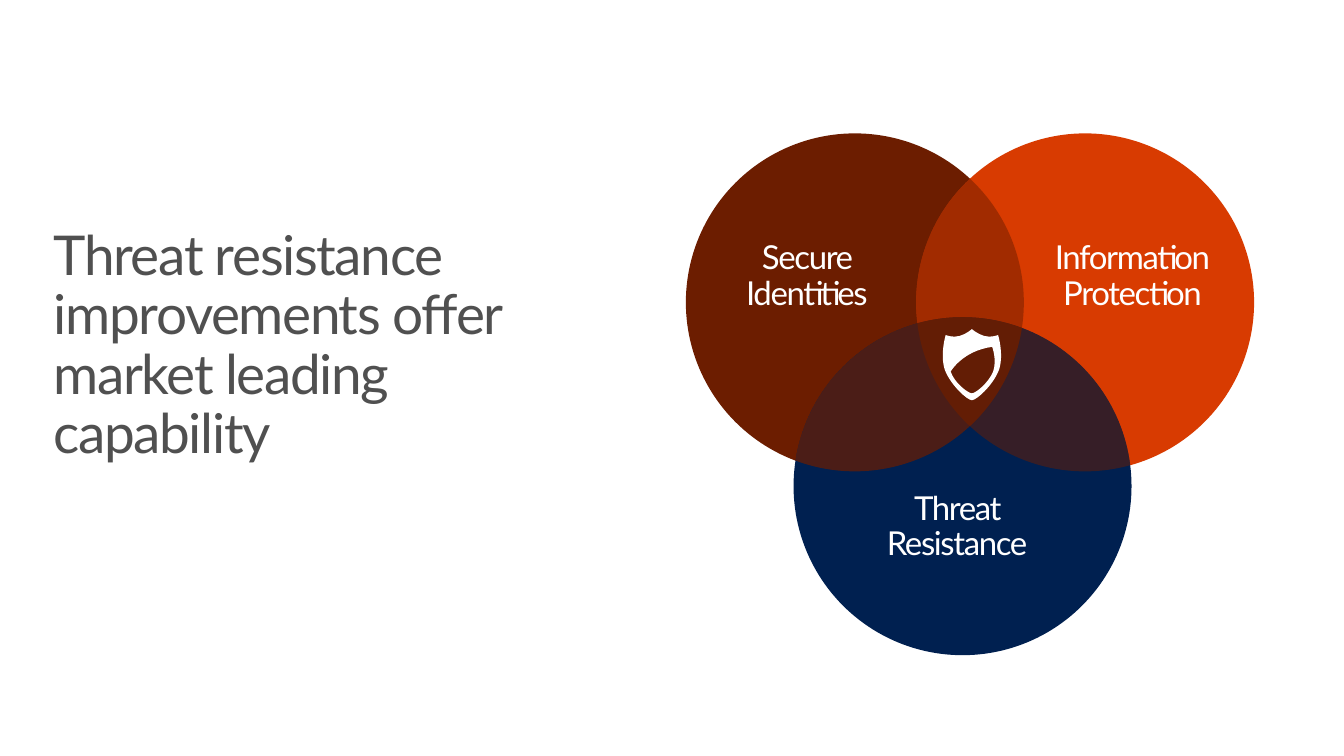
from itertools import combinations
from math import acos, atan2, cos, dist, pi, sin, tan

from lxml.etree import SubElement
from pptx import Presentation
from pptx.dml.color import RGBColor
from pptx.enum.shapes import MSO_SHAPE as Preset
from pptx.enum.text import MSO_AUTO_SIZE as AutoSize, PP_ALIGN as Align
from pptx.oxml.ns import qn
from pptx.util import Inches, Pt

CELL = Inches(0.1)
COLUMNS, ROWS = 136, 76.5
RADIUS = 17.1
BROWN, ORANGE, NAVY, WHITE, GRAY = "6C1D00", "D83B01", "002050", "FFFFFF", "505050"
CIRCLES = [((86.5, 30.6), BROWN), ((109.8, 30.6), ORANGE), ((97.4, 49.2), NAVY)]
OVERLAP_OPACITIES = [50, 70, 50]
LABELS = [
    (["Information", "Protection"], (103.6, 24.4, 22, 7.3), 0),
    (["Secure Identities"], (72.5, 24.4, 18.3, 7.3), 6),
    (["Threat Resistance"], (86.5, 49.75, 20.7, 7.3), 6),
]
SHIELD_AXIS = 98.35
SHIELD_RIGHT_HALF = [
    (98.35, 33.3),
    (98.35, 33.3), (98.9, 33.8), (99.6, 34),
    (100.3, 34.2), (101, 33.9), (101, 33.9),
    (101, 33.9), (101.6, 35.8), (101.1, 37.4),
    (100.5, 39), (98.8, 40.5), (98.35, 40.5),
]
SHIELD_CUTOUT = [
    (100.5, 37.6),
    (100, 38.8), (98.7, 39.8), (98.35, 39.8),
    (98, 39.8), (96.6, 38.8), (96.2, 37.6),
    (96.2, 37.6), (97.4, 35.5), (100.4, 35.1),
    (100.4, 35.1), (100.9, 36.4), (100.5, 37.6),
]


def color(value):
    """Turn a hex string into a colour."""
    return RGBColor.from_string(value)


def cells(*values):
    """Turn grid counts into slide lengths."""
    return [round(value * CELL) for value in values]


def set_format(target, values):
    """Set every attribute named in a dict of format values."""
    for name, value in values.items():
        setattr(target, name, value)


def paint(shape, fill, opacity=100):
    """Give a shape a flat fill without line or shadow."""
    shape.shadow.inherit = False
    shape.line.fill.background()
    shape.fill.solid()
    shape.fill.fore_color.rgb = color(fill)
    if opacity < 100:
        tint = next(shape._element.spPr.iter(qn("a:srgbClr")))
        SubElement(tint, qn("a:alpha"), val=str(opacity * 1000))


def add_circle(slide, center, fill):
    """Draw one circle of the Venn diagram."""
    left, top = (value - RADIUS for value in center)
    box = cells(left, top, 2 * RADIUS, 2 * RADIUS)
    paint(slide.shapes.add_shape(Preset.OVAL, *box), fill)


def bend(shape):
    """Join every three line segments of a freeform into one cubic curve."""
    outline = next(shape._element.spPr.iter(qn("a:path")))
    segments = outline.findall(qn("a:lnTo"))
    for start in range(0, len(segments), 3):
        curve = SubElement(outline, qn("a:cubicBezTo"))
        segments[start].addprevious(curve)
        for segment in segments[start:start + 3]:
            curve.append(segment[0])
            outline.remove(segment)


def add_curves(slide, contours, fill, opacity=100):
    """Draw one filled freeform from closed chains of cubic curves."""
    first, *others = [[cells(*point) for point in contour] for contour in contours]
    builder = slide.shapes.build_freeform(*first[0], scale=1.0)
    builder.add_line_segments(first[1:], close=True)
    for contour in others:
        builder.move_to(*contour[0])
        builder.add_line_segments(contour[1:], close=True)
    shape = builder.convert_to_shape()
    bend(shape)
    paint(shape, fill, opacity)


def arc(center, start, sweep):
    """Return the four curve points of a circular arc."""
    x, y = center
    pull = 4 / 3 * tan(sweep / 4)
    end = start + sweep
    offsets = [
        (cos(start), sin(start)),
        (cos(start) - pull * sin(start), sin(start) + pull * cos(start)),
        (cos(end) + pull * sin(end), sin(end) - pull * cos(end)),
        (cos(end), sin(end)),
    ]
    return [(x + RADIUS * across, y + RADIUS * down) for across, down in offsets]


def overlap(first, second):
    """Return the curve points around the area that two circles share."""
    bearing = atan2(second[1] - first[1], second[0] - first[0])
    half = acos(dist(first, second) / 2 / RADIUS)
    points = arc(first, bearing - half, half)[:1]
    for center, middle in ((first, bearing), (second, bearing + pi)):
        for start in (middle - half, middle):
            points += arc(center, start, half)[1:]
    return points


def add_shield(slide):
    """Draw the symmetric shield with its cutout."""
    left = [(2 * SHIELD_AXIS - x, y) for x, y in reversed(SHIELD_RIGHT_HALF)]
    add_curves(slide, [SHIELD_RIGHT_HALF + left[1:], SHIELD_CUTOUT], WHITE)


def add_text(slide, lines, box, size, fill, align, space_after=0, margin=None):
    """Write lines of tightly spaced text in a box."""
    frame = slide.shapes.add_textbox(*cells(*box)).text_frame
    set_format(frame, {"word_wrap": True, "auto_size": AutoSize.SHAPE_TO_FIT_TEXT})
    if margin is not None:
        sides = ("left", "top", "right", "bottom")
        set_format(frame, {f"margin_{side}": margin for side in sides})
    frame.text = "\n".join(lines)
    for paragraph in frame.paragraphs:
        set_format(paragraph, {"alignment": align, "line_spacing": 0.9,
                               "space_after": Pt(space_after)})
        run = paragraph.runs[0]
        set_format(run.font, {"name": "Lato", "size": Pt(size)})
        run.font.color.rgb = color(fill)
        run._r.get_or_add_rPr().set("spc", "-100")


def main():
    """Build the slide and save it."""
    presentation = Presentation()
    width, height = cells(COLUMNS, ROWS)
    set_format(presentation, {"slide_width": width, "slide_height": height})
    slide = presentation.slides.add_slide(presentation.slide_layouts[6])
    for center, fill in CIRCLES:
        add_circle(slide, center, fill)
    centers = [center for center, _ in CIRCLES]
    for pair, opacity in zip(combinations(centers, 2), OVERLAP_OPACITIES):
        add_curves(slide, [overlap(*pair)], BROWN, opacity)
    for lines, box, space_after in LABELS:
        add_text(slide, lines, box, 24, WHITE, Align.CENTER, space_after, margin=0)
    add_shield(slide)
    title = "Threat resistance improvements offer market leading capability"
    add_text(slide, [title], (4.45, 22.6, 55.7, 25.2), 40, GRAY, Align.LEFT)
    presentation.save("out.pptx")


if __name__ == "__main__":
    main()
